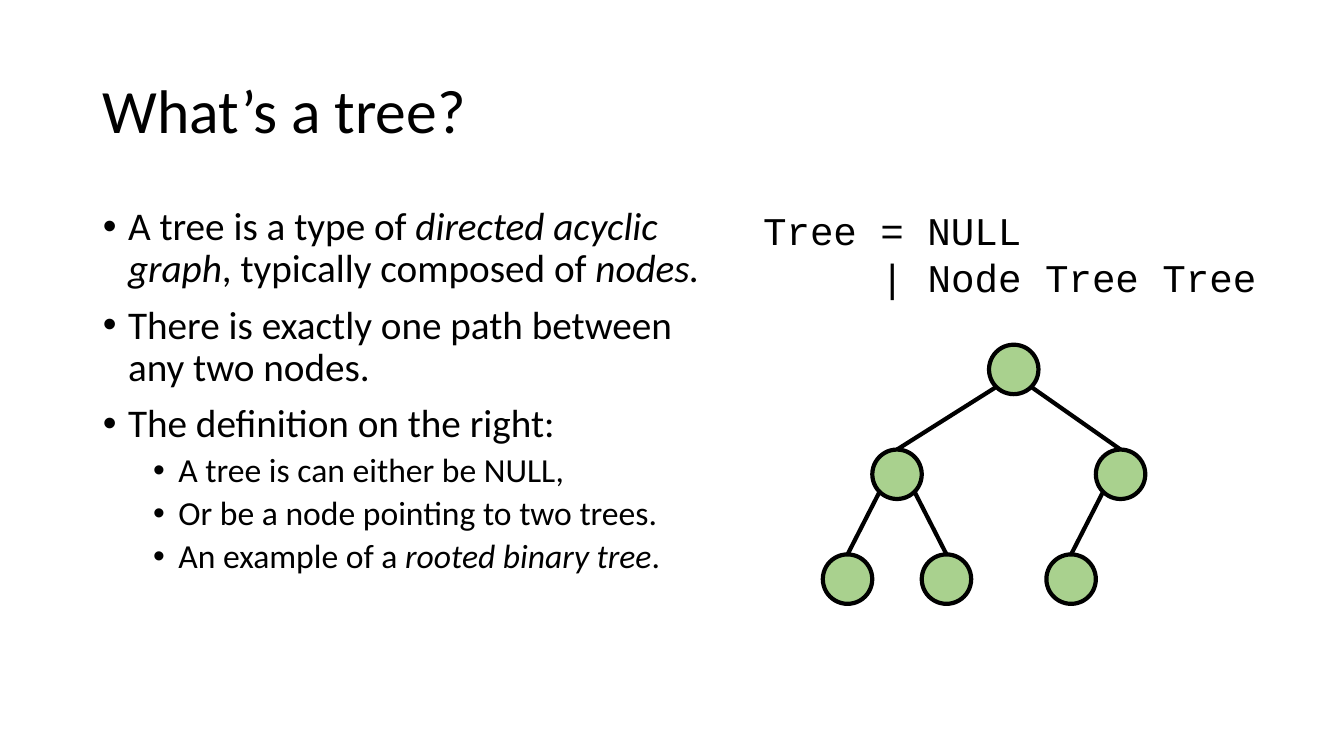
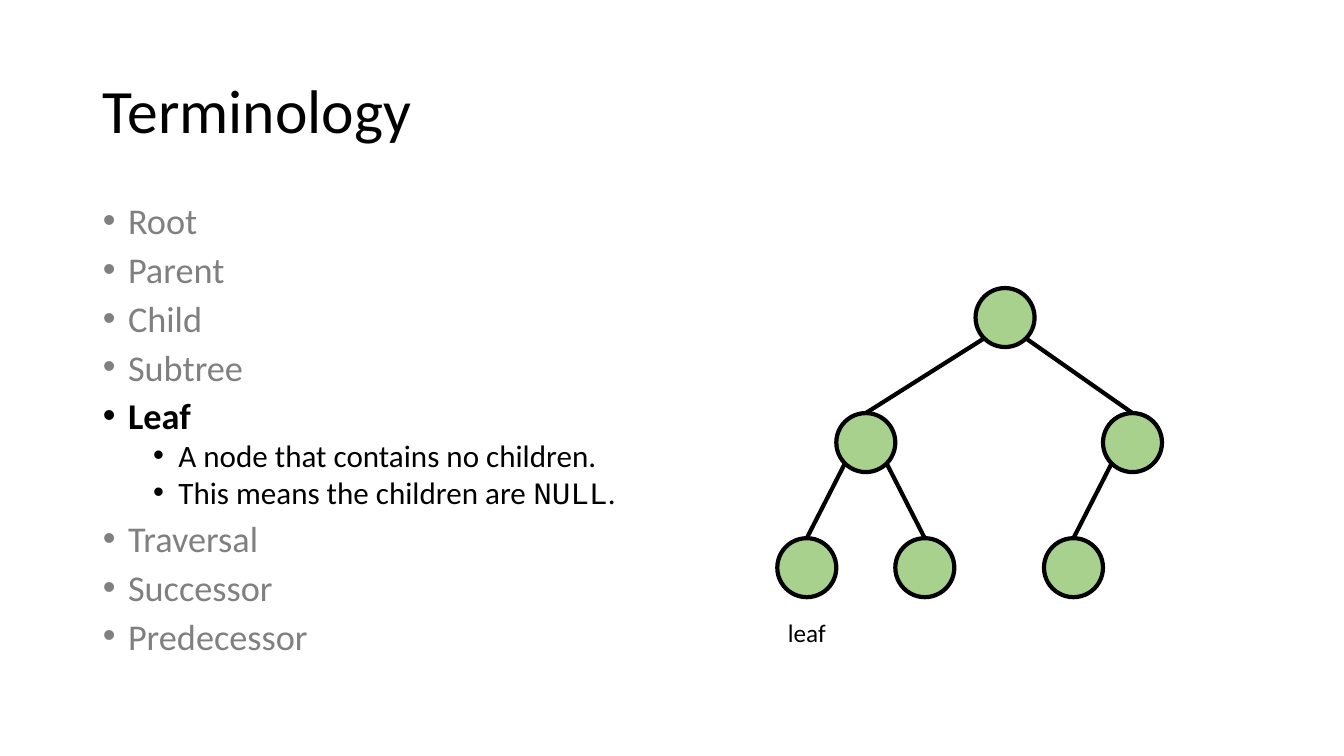
from dataclasses import dataclass
from math import sqrt

from lxml.etree import SubElement
from pptx import Presentation
from pptx.dml.color import RGBColor
from pptx.enum.shapes import MSO_CONNECTOR, MSO_SHAPE
from pptx.enum.text import MSO_ANCHOR, MSO_AUTO_SIZE, PP_ALIGN
from pptx.oxml.ns import qn
from pptx.util import Inches, Pt


@dataclass(frozen=True)
class Theme:
    ink: RGBColor = RGBColor(0x00, 0x00, 0x00)
    muted: RGBColor = RGBColor(0x80, 0x80, 0x80)
    node: RGBColor = RGBColor(0xA9, 0xD1, 0x8E)
    text_font: str = "Calibri"
    code_font: str = "Courier New"
    title_size: float = 44
    code_size: float = 28
    label_size: float = 18
    stroke: float = 3


THEME = Theme()
SLIDE_W, SLIDE_H = Inches(13.333), Inches(7.5)
COL, ROW = SLIDE_W / 100, SLIDE_H / 100
MARGIN = 6.9 * COL
BODY_TOP = 26.67 * ROW

# Tree layout in node diameters from the root: (across, level), and parent-child links.
LEVEL_STEP = 2.12
NODES = [(0, 0), (-2.36, 1), (2.16, 1), (-3.36, 2), (-1.36, 2), (1.16, 2)]
LINKS = [(1, 3), (1, 4), (0, 1), (0, 2), (2, 5)]

# Each bullet is (level, parts); every second part is emphasised.
TREE_POINTS = [
    (0, ["A tree is a type of ", "directed acyclic graph",
         ", typically composed of ", "nodes."]),
    (0, ["There is exactly one path between any two nodes."]),
    (0, ["The definition on the right:"]),
    (1, ["A tree is can either be NULL,"]),
    (1, ["Or be a node pointing to two trees."]),
    (1, ["An example of a ", "rooted binary tree", "."]),
]
TERMS = [
    (0, ["Root"]),
    (0, ["Parent"]),
    (0, ["Child"]),
    (0, ["Subtree"]),
    (0, ["Leaf"]),
    (1, ["A node that contains no children."]),
    (1, ["This means the children are ", "NULL", "."]),
    (0, ["Traversal"]),
    (0, ["Successor"]),
    (0, ["Predecessor"]),
]
TOPICS = [
    dict(title="What’s a tree?", points=TREE_POINTS, width=46.5, sizes=(28, 24),
         spacing=0.9, current=None, code=["Tree = NULL", "| Node Tree Tree"],
         root=(75.43, 48.87), diameter=3.68, leaf_label=None),
    dict(title="Terminology", points=TERMS, width=42.15, sizes=(25.9, 22.2),
         spacing=0.8, current="Leaf", code=None,
         root=(74.78, 42), diameter=4.39, leaf_label="leaf"),
]


def style_run(run, size, color=THEME.ink, font=THEME.text_font):
    run.font.size = Pt(size)
    run.font.name = font
    run.font.color.rgb = color


def draw_tree(slide, root, diameter, leaf_label):
    """Draw the nodes and links as one group, with a caption under the first leaf."""
    tree = slide.shapes.add_group_shape().shapes
    centers = [(root[0] * COL + across * diameter,
                root[1] * ROW + level * LEVEL_STEP * diameter)
               for across, level in NODES]
    circles = []
    for x, y in centers:
        circle = tree.add_shape(MSO_SHAPE.OVAL, int(x - diameter / 2), int(y - diameter / 2),
                                int(diameter), int(diameter))
        circle.shadow.inherit = False
        circle.fill.solid()
        circle.fill.fore_color.rgb = THEME.node
        circle.line.color.rgb = THEME.ink
        circle.line.width = Pt(THEME.stroke)
        circles.append(circle)

    diagonal = diameter / 2 / sqrt(2)
    for parent, child in LINKS:
        (px, py), (cx, cy) = centers[parent], centers[child]
        side = 1 if cx > px else -1
        link = tree.add_connector(MSO_CONNECTOR.STRAIGHT,
                                  int(px + side * diagonal), int(py + diagonal),
                                  int(cx), int(cy - diameter / 2))
        link.end_connect(circles[child], 0)
        link.line.color.rgb = THEME.ink
        link.line.width = Pt(THEME.stroke)
        SubElement(link.element.spPr, qn("a:effectLst"))

    if leaf_label:
        x, y = centers[3]
        caption = tree.add_textbox(int(x - diameter), int(y + 0.75 * diameter),
                                   int(2 * diameter), int(5.33 * ROW)).text_frame
        caption.word_wrap = True
        caption.text = leaf_label
        caption.paragraphs[0].alignment = PP_ALIGN.CENTER
        style_run(caption.paragraphs[0].runs[0], THEME.label_size)


deck = Presentation()
deck.slide_width, deck.slide_height = SLIDE_W, SLIDE_H
layout = deck.slide_layouts[1]
heading = layout.placeholders[0]
heading.left, heading.top = int(MARGIN), int(5.33 * ROW)
heading.width, heading.height = int(86.25 * COL), int(19.33 * ROW)

for topic in TOPICS:
    slide = deck.slides.add_slide(layout)

    title = slide.shapes.title.text_frame
    title.text = topic["title"]
    title.vertical_anchor = MSO_ANCHOR.MIDDLE
    title.paragraphs[0].alignment = PP_ALIGN.LEFT
    title.paragraphs[0].line_spacing = 0.9
    style_run(title.paragraphs[0].runs[0], THEME.title_size)

    body = slide.placeholders[1]
    body.left, body.top = int(MARGIN), int(BODY_TOP)
    body.width, body.height = int(topic["width"] * COL), int(63.47 * ROW)
    body.text_frame.auto_size = MSO_AUTO_SIZE.NONE
    for number, (level, parts) in enumerate(topic["points"]):
        points = body.text_frame
        point = points.add_paragraph() if number else points.paragraphs[0]
        point.level = level
        point.line_spacing = topic["spacing"]
        point.space_before = Pt((10, 5)[level])
        properties = point._p.get_or_add_pPr()
        properties.set("marL", str(Inches((0.25, 0.75)[level])))
        properties.set("indent", str(Inches(-0.25)))
        SubElement(properties, qn("a:buFont"), typeface="Arial")
        SubElement(properties, qn("a:buChar"), char="•")

        current = topic["current"]
        is_muted = current and level == 0 and parts[0] != current
        for position, part in enumerate(parts):
            run = point.add_run()
            run.text = part
            style_run(run, topic["sizes"][level], THEME.muted if is_muted else THEME.ink)
            if parts[0] == current:
                run.font.bold = True
            if position % 2 and part == "NULL":
                run.font.name = THEME.code_font
            elif position % 2:
                run.font.italic = True

    if topic["code"]:
        definition = slide.shapes.add_textbox(int(56.04 * COL), int(BODY_TOP),
                                              int(38.78 * COL), int(13.87 * ROW)).text_frame
        definition.word_wrap = True
        definition.text = "\n".join(topic["code"])
        for line in definition.paragraphs:
            style_run(line.runs[0], THEME.code_size, font=THEME.code_font)
        # Five characters, each 0.6 em wide, align the bar under the equals sign.
        alternative = definition.paragraphs[1]._p.get_or_add_pPr()
        alternative.set("marL", str(Pt(5 * 0.6 * THEME.code_size)))

    draw_tree(slide, topic["root"], topic["diameter"] * COL, topic["leaf_label"])

deck.save("out.pptx")
